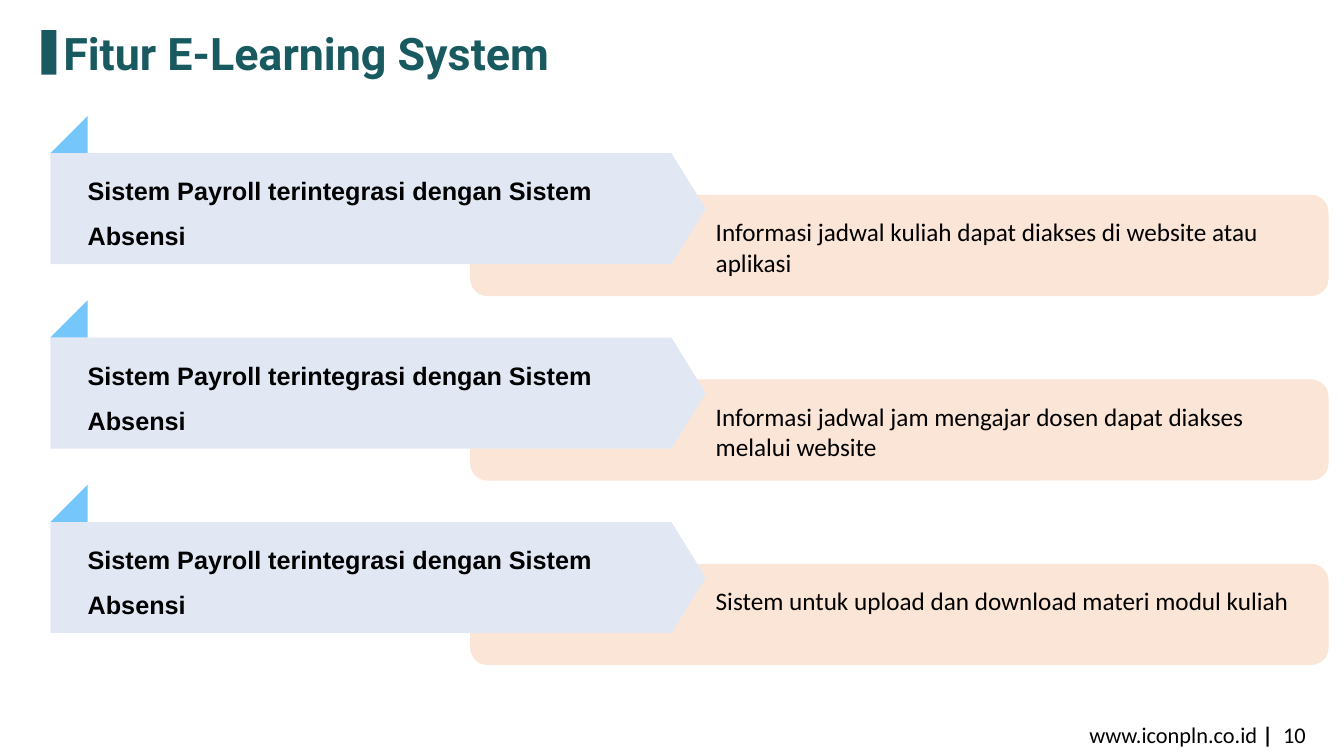
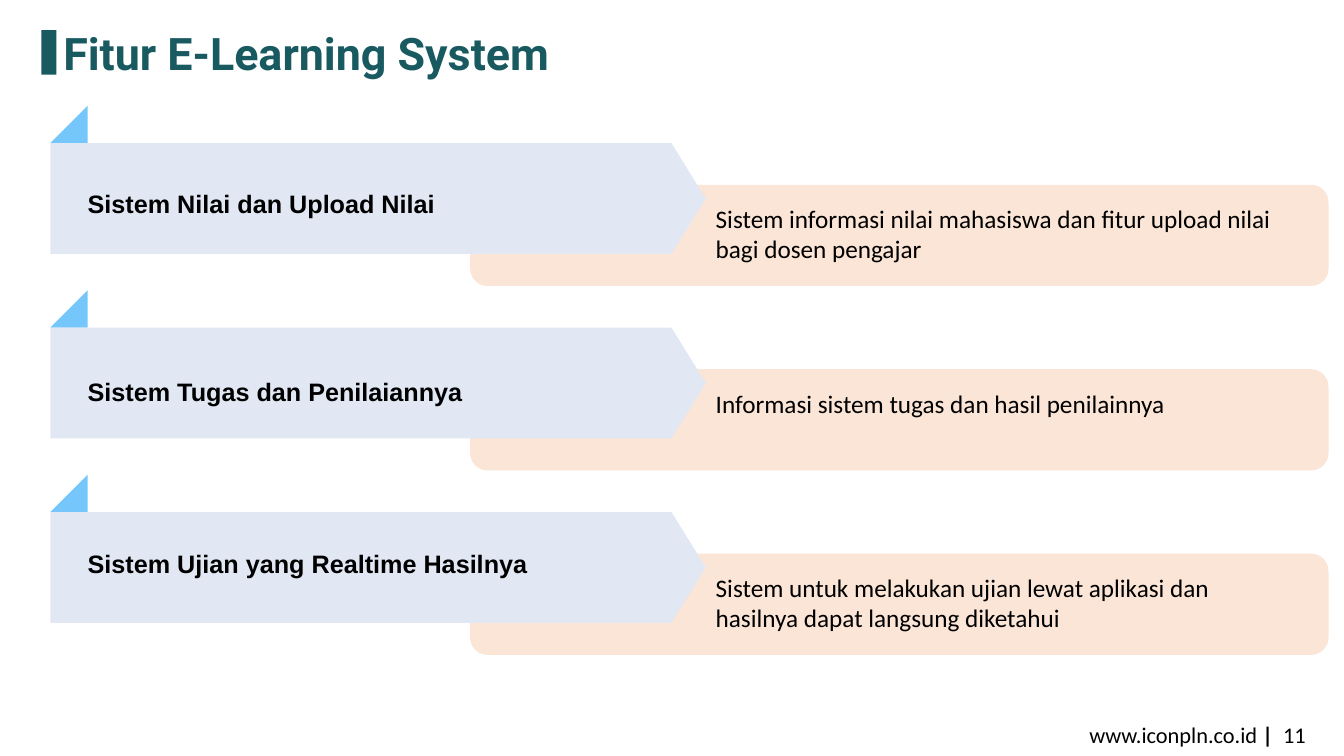
"""Build two feature slides for an e-learning system."""
from pptx import Presentation
from pptx.dml.color import RGBColor
from pptx.enum.shapes import MSO_SHAPE as Shape
from pptx.enum.text import MSO_ANCHOR as Anchor, PP_ALIGN as Align
from pptx.util import Inches, Pt

TEAL = RGBColor(0x19, 0x5A, 0x61)
BLUE = RGBColor(0x75, 0xC7, 0xFB)
PALE = RGBColor(0xE1, 0xE8, 0xF4)
PEACH = RGBColor(0xFB, 0xE5, 0xD6)
BLACK = RGBColor(0, 0, 0)

TITLE = "Fitur E-Learning System"
SITE = "www.iconpln.co.id "
PAYROLL = "Sistem Payroll terintegrasi dengan Sistem Absensi"
SLIDES = [
    {"page": 10, "top": 1.15, "drop": 0.95, "rows": [
        (PAYROLL, 0.44, "Informasi jadwal kuliah dapat diakses di website atau aplikasi"),
        (PAYROLL, 0.44, "Informasi jadwal jam mengajar dosen dapat diakses melalui website"),
        (PAYROLL, 0.44, "Sistem untuk upload dan download materi modul kuliah"),
    ]},
    {"page": 11, "top": 1.05, "drop": 0.92, "rows": [
        ("Sistem Nilai dan Upload Nilai", 0.67,
         "Sistem informasi nilai mahasiswa dan fitur upload nilai bagi dosen pengajar"),
        ("Sistem Tugas dan Penilaiannya", 0.7,
         "Informasi sistem tugas dan hasil penilainnya"),
        ("Sistem Ujian yang Realtime Hasilnya", 0.58,
         "Sistem untuk melakukan ujian lewat aplikasi dan hasilnya dapat langsung diketahui"),
    ]},
]

PITCH = 1.83
LEFT, FOLD, SHOULDER, TIP = 0.5, 0.37, 6.66, 7
BAND = 1.1


def paint(shape, color):
    shape.shadow.inherit = False
    shape.fill.solid()
    shape.fill.fore_color.rgb = color
    shape.line.fill.background()


def style(font, name, size, color=BLACK, bold=False):
    font.name, font.size, font.bold = name, Pt(size), bold
    font.color.rgb = color


def write(shapes, box, text, name, size, color=BLACK, bold=False, gap=None, inset=True):
    frame = shapes.add_textbox(*map(Inches, box)).text_frame
    frame.word_wrap = True
    if not inset:
        frame.margin_left = frame.margin_right = 0
        frame.margin_top = frame.margin_bottom = 0
    frame.text = text
    para = frame.paragraphs[0]
    para.line_spacing = gap
    style(para.runs[0].font, name, size, color, bold)
    return frame


def outline(shapes, points, color):
    spots = [(Inches(x), Inches(y)) for x, y in points]
    pen = shapes.build_freeform(*spots[0])
    pen.add_line_segments(spots[1:], close=True)
    paint(pen.convert_to_shape(), color)


def add_frame(slide, page):
    bar = slide.shapes.add_shape(Shape.RECTANGLE, *map(Inches, (0.41, 0.3, 0.15, 0.44)))
    paint(bar, TEAL)
    write(slide.shapes, (0.53, 0.27, 7.03, 0.58), TITLE, "Roboto", 32, TEAL, True, 0.9)
    foot = write(slide.shapes, (10.05, 7.09, 3, 0.4), SITE, "Calibri", 16)
    foot.vertical_anchor = Anchor.MIDDLE
    para = foot.paragraphs[0]
    para.alignment = Align.RIGHT
    for text, bold in (("|  ", True), (str(page), False)):
        run = para.add_run()
        run.text = text
        style(run.font, "Calibri", 16, bold=bold)


def add_row(slide, top, drop, label, shift, detail):
    card = slide.shapes.add_shape(
        Shape.ROUNDED_RECTANGLE, *map(Inches, (4.67, top + 0.79, 8.5, 0.99)))
    paint(card, PEACH)
    card.line.color.rgb = PEACH
    card.line.width = Pt(1)

    band, right = top + FOLD, LEFT + FOLD
    base = band + BAND
    group = slide.shapes.add_group_shape().shapes
    outline(group, [(right, band), (LEFT, band), (right, top)], BLUE)
    outline(group, [(SHOULDER, band), (LEFT, band), (LEFT, base),
                    (SHOULDER, base), (TIP, band + BAND / 2)], PALE)
    write(group, (right, top + shift, 5.56, 0.85), label, "Arial", 18,
          bold=True, gap=1.5, inset=False)
    write(slide.shapes, (TIP, top + drop, 5.92, 0.71), detail, "Calibri", 18)


def main():
    deck = Presentation()
    deck.slide_width, deck.slide_height = Inches(13.33), Inches(7.5)
    for data in SLIDES:
        slide = deck.slides.add_slide(deck.slide_layouts[6])
        add_frame(slide, data["page"])
        for i, row in enumerate(data["rows"]):
            add_row(slide, data["top"] + i * PITCH, data["drop"], *row)
    deck.save("out.pptx")


if __name__ == "__main__":
    main()
